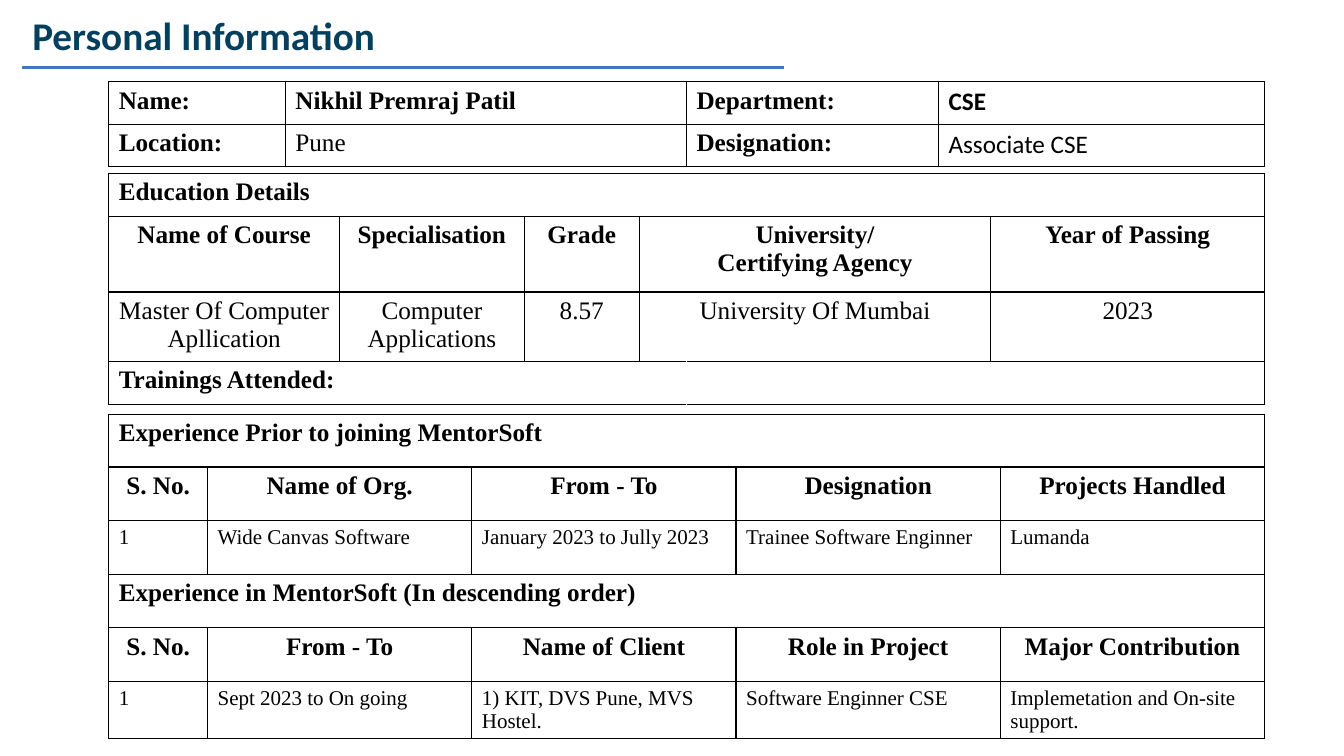
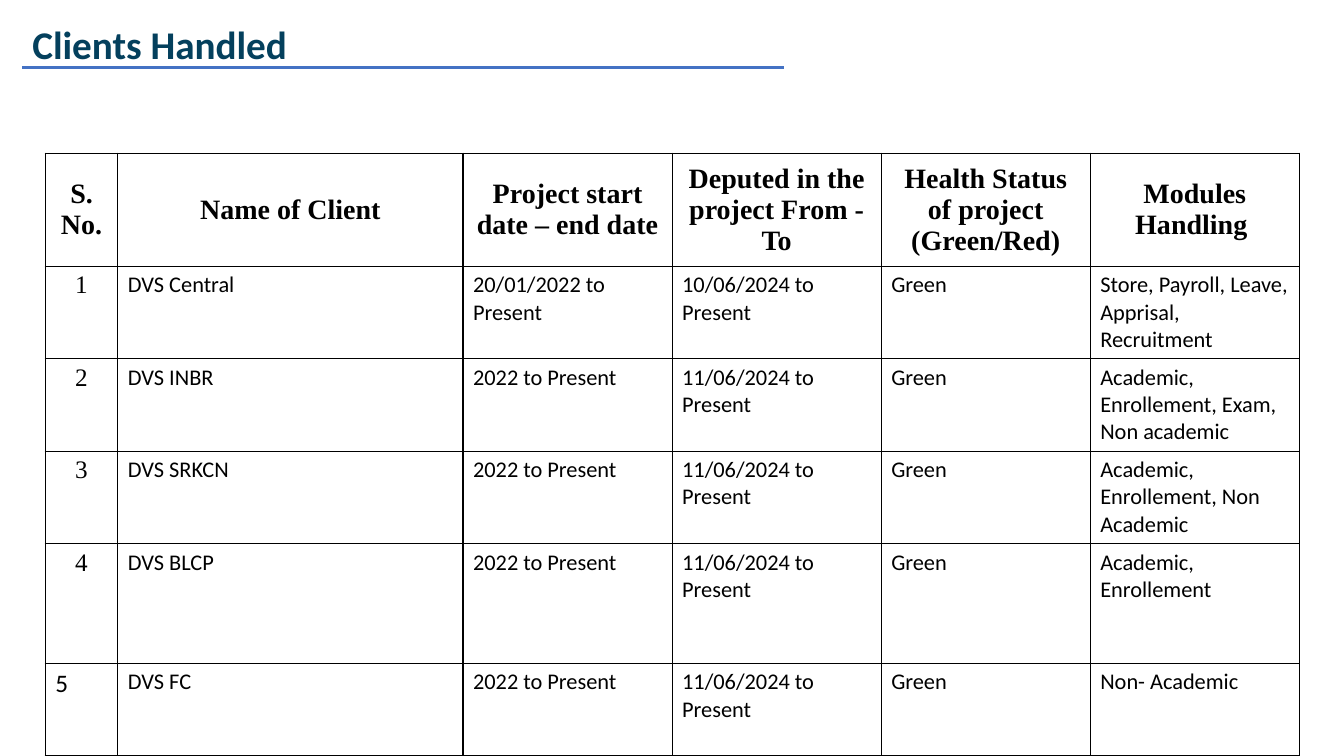
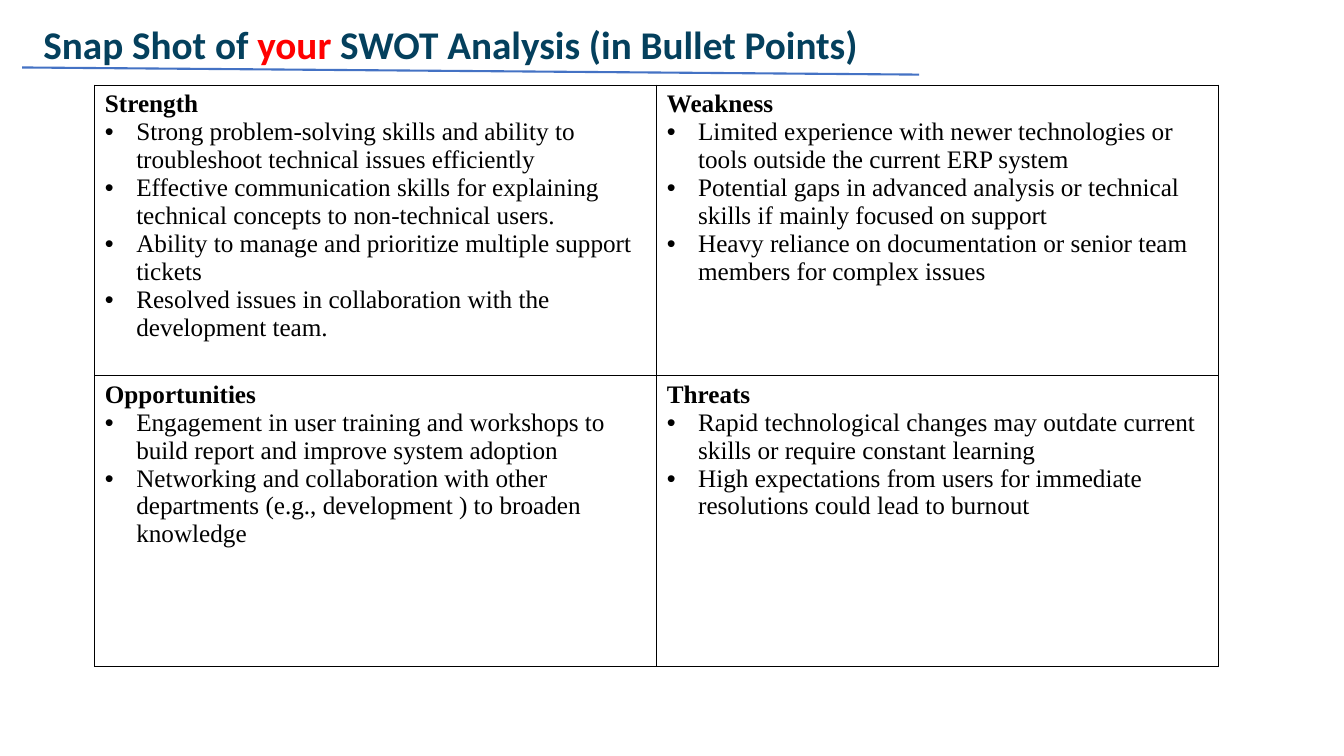
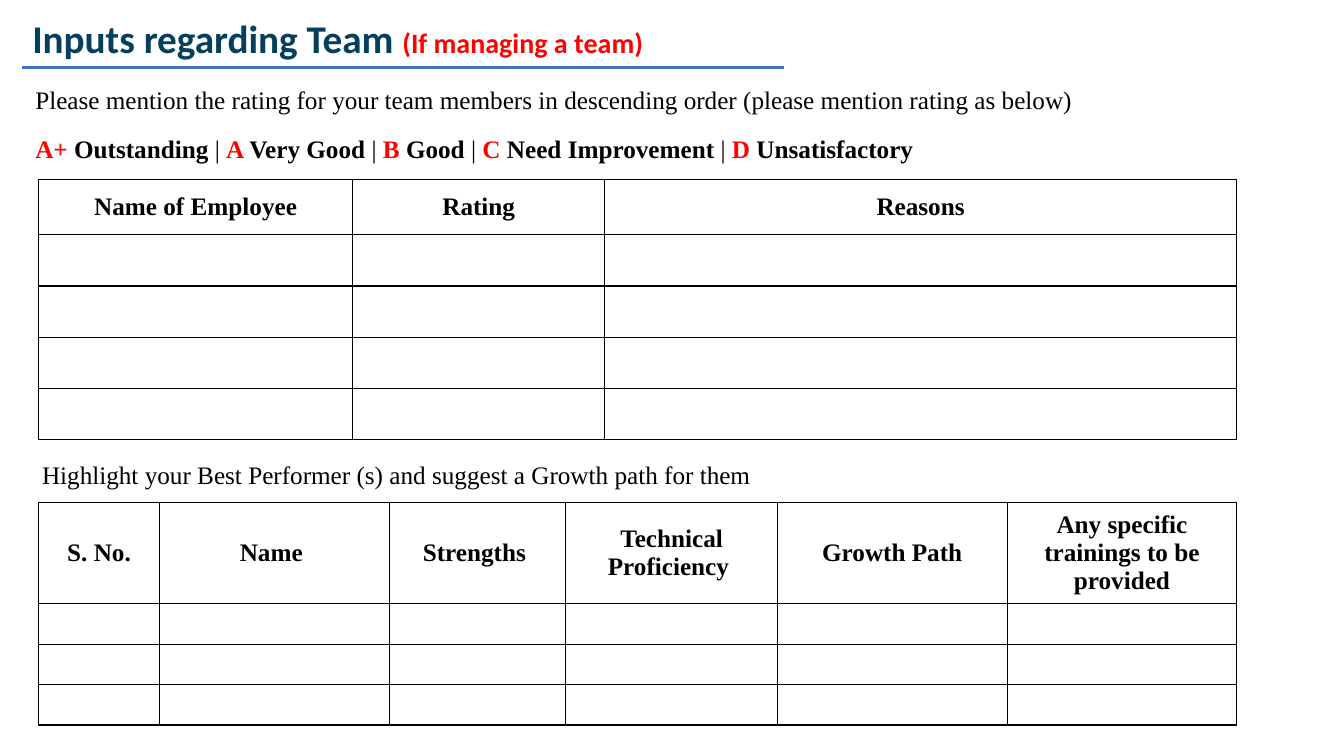
"""Build a four-slide employee review deck of tables."""
import collections

import lxml.etree
import pptx
import pptx.dml.color
import pptx.enum.shapes
import pptx.enum.text
import pptx.oxml
import pptx.oxml.ns
import pptx.util

Cm = pptx.util.Cm
Pt = pptx.util.Pt
RGBColor = pptx.dml.color.RGBColor
Align = pptx.enum.text.PP_ALIGN
Anchor = pptx.enum.text.MSO_ANCHOR
qn = pptx.oxml.ns.qn

NAVY = RGBColor(0x04, 0x40, 0x5D)
BLUE = RGBColor(0x44, 0x72, 0xC4)
RED = RGBColor(0xFF, 0x00, 0x00)
BLACK = RGBColor(0x00, 0x00, 0x00)
WHITE = RGBColor(0xFF, 0xFF, 0xFF)

SANS = "Calibri"
SERIF = "Times New Roman"

Look = collections.namedtuple("Look", "size bold font align anchor color")
Span = collections.namedtuple("Span", "text look")

BODY = Look(18, False, SERIF, Align.LEFT, Anchor.TOP, BLACK)
LABEL = BODY._replace(bold=True)
CENTERED = BODY._replace(align=Align.CENTER)
HEADER = LABEL._replace(align=Align.CENTER)
MIDDLE_HEADER = HEADER._replace(anchor=Anchor.MIDDLE)
CLIENT_HEADER = MIDDLE_HEADER._replace(size=20)
ENTRY = BODY._replace(size=15)
SANS_BODY = BODY._replace(font=SANS)
CLIENT = SANS_BODY._replace(size=16)
TITLE = Look(28, True, SANS, Align.LEFT, Anchor.MIDDLE, NAVY)
TITLE_RED = TITLE._replace(color=RED)
GRADE = LABEL._replace(color=RED)


class ReviewDeck:
    """Hold the shared style and the current page."""

    def __init__(self):
        """Start an empty widescreen deck."""
        self.deck = pptx.Presentation()
        self.deck.slide_width = Cm(33.87)
        self.deck.slide_height = Cm(19.05)
        self.page = None

    def add_spans(self, para, spans):
        """Fill a paragraph run by run."""
        para.alignment = spans[0].look.align
        for text, look in spans:
            span = para.add_run()
            span.text = text
            span.font.size = Pt(look.size)
            span.font.bold = look.bold
            span.font.name = look.font
            span.font.color.rgb = look.color

    def add_lines(self, frame, lines):
        """Add one paragraph for each list of spans."""
        for index, spans in enumerate(lines):
            para = frame.add_paragraph() if index else frame.paragraphs[0]
            self.add_spans(para, spans)

    def add_page(self, spans, left=0.56, top=0.13, rule_end=(19.76, 1.7)):
        """Add a page with its title and the blue rule below."""
        self.page = self.deck.slides.add_slide(self.deck.slide_layouts[5])
        box = self.page.shapes.title
        box.left, box.top, box.width, box.height = Cm(left), Cm(top), Cm(22.68), Cm(1.5)
        frame = box.text_frame
        frame.word_wrap = True
        frame.auto_size = pptx.enum.text.MSO_AUTO_SIZE.NONE
        frame.vertical_anchor = TITLE.anchor
        self.add_spans(frame.paragraphs[0], spans)
        self.add_rule((0.56, 1.7), rule_end)

    def add_rule(self, start, end):
        """Draw a straight blue line."""
        rule = self.page.shapes.add_connector(
            pptx.enum.shapes.MSO_CONNECTOR.STRAIGHT,
            Cm(start[0]), Cm(start[1]), Cm(end[0]), Cm(end[1]))
        rule.line.color.rgb = BLUE
        rule.line.width = Pt(1.5)
        lxml.etree.SubElement(rule._element.spPr, qn("a:effectLst"))

    def add_text(self, left, top, width, height, lines, spacing=1, after=0):
        """Add a wrapped text box."""
        box = self.page.shapes.add_textbox(Cm(left), Cm(top), Cm(width), Cm(height))
        box.text_frame.word_wrap = True
        self.add_lines(box.text_frame, lines)
        for para in box.text_frame.paragraphs:
            para.line_spacing = spacing
            para.space_after = Pt(after)

    def add_table(self, left, top, columns, rows, divider=BLACK):
        """Add a table from rows of height, look and cell contents."""
        heights = [row[0] for row in rows]
        table = self.page.shapes.add_table(
            len(rows), len(columns), Cm(left), Cm(top),
            Cm(sum(columns)), Cm(sum(heights))).table
        table.first_row = table.horz_banding = False
        for column, width in zip(table.columns, columns):
            column.width = Cm(width)
        for row, height in zip(table.rows, heights):
            row.height = Cm(height)
        last = len(columns) - 1
        for y, (height, look, contents) in enumerate(rows):
            for x in range(len(columns)):
                self.outline(table.cell(y, x),
                             left=divider if x else BLACK,
                             right=divider if x < last else BLACK)
            if isinstance(contents, str):
                table.cell(y, 0).merge(table.cell(y, last))
                contents = [contents]
            for x, content in enumerate(contents):
                self.fill_cell(table.cell(y, x), content, look)
        return table

    def fill_cell(self, cell, content, look):
        """Put text in a cell, whose own look overrides that of its row."""
        if isinstance(content, Span):
            content, look = content
        if content:
            cell.vertical_anchor = look.anchor
            self.add_lines(cell.text_frame,
                           [[Span(line, look)] for line in content.split("\n")])

    def outline(self, cell, left, right):
        """Clear the fill of a cell and draw its four borders."""
        cell.fill.background()
        properties = cell._tc.get_or_add_tcPr()
        sides = {"L": left, "R": right, "T": BLACK, "B": BLACK}
        for place, (side, color) in enumerate(sides.items()):
            border = lxml.etree.Element(qn("a:ln" + side), w=str(Pt(1)))
            fill = lxml.etree.SubElement(border, qn("a:solidFill"))
            lxml.etree.SubElement(fill, qn("a:srgbClr"), val=str(color))
            properties.insert(place, border)

    def add_bullets(self, cell, heading, points):
        """Put a bold heading and bullet points into a cell."""
        self.add_lines(cell.text_frame, [[Span(heading, LABEL)]]
                       + [[Span(point, BODY)] for point in points])
        for para in cell.text_frame.paragraphs[1:]:
            properties = para._p.get_or_add_pPr()
            properties.set("marL", str(Cm(0.79)))
            properties.set("indent", str(-Cm(0.79)))
            lxml.etree.SubElement(properties, qn("a:buFont"), typeface="Arial")
            lxml.etree.SubElement(properties, qn("a:buChar"), char="•")


def personal_page(review):
    """Build the personal information page."""
    review.add_page([Span("Personal Information", TITLE)])
    left = 2.74
    review.add_table(left, 10.44, [2.49] + [6.66] * 4, [
        (1.33, LABEL, "Experience Prior to joining MentorSoft"),
        (1.35, HEADER, ["S. No.", "Name of Org.", "From - To", "Designation",
                        "Projects Handled"]),
        (1.35, ENTRY, ["1", "Wide Canvas Software", "January 2023 to Jully 2023",
                       "Trainee Software Enginner", "Lumanda"]),
        (1.35, LABEL, "Experience in MentorSoft (In descending order)"),
        (1.35, HEADER, ["S. No.", "From - To", "Name of Client", "Role in Project",
                        "Major Contribution"]),
        (1.43, ENTRY, ["1", "Sept 2023 to On going", "1) KIT, DVS Pune, MVS Hostel.",
                       "Software Enginner CSE", "Implemetation and On-site support."]),
    ])
    review.add_table(left, 4.37, [5.82, 4.65, 2.9, 8.86, 6.9], [
        (1.08, LABEL, "Education Details"),
        (1.91, HEADER, ["Name of Course", "Specialisation", "Grade",
                        "University/\nCertifying Agency", "Year of Passing"]),
        (1.74, CENTERED, ["Master Of Computer Apllication", "Computer Applications",
                          "8.57", "University Of Mumbai", "2023"]),
    ])
    review.add_table(left, 2.06, [4.45, 10.11, 6.35, 8.22], [
        (1.07, LABEL, ["Name:", "Nikhil Premraj Patil", "Department:",
                       Span("CSE", LABEL._replace(font=SANS))]),
        (1.07, LABEL, ["Location:", Span("Pune", BODY), "Designation:",
                       Span("Associate CSE", SANS_BODY)]),
    ])
    review.add_table(left, 9.1, [14.56, 14.57],
                     [(1.09, LABEL, ["Trainings Attended:", ""])], divider=WHITE)


def clients_page(review):
    """Build the page of clients handled."""
    review.add_page([Span("Clients Handled", TITLE)], top=0.36)
    clients = [
        (2.33, "DVS Central", "20/01/2022 to Present", "10/06/2024 to Present",
         "Store, Payroll, Leave, Apprisal, Recruitment"),
        (2.33, "DVS INBR", "2022 to Present", "11/06/2024 to Present",
         "Academic, Enrollement, Exam, Non academic"),
        (2.33, "DVS SRKCN", "2022 to Present", "11/06/2024 to Present",
         "Academic, Enrollement, Non Academic"),
        (3.02, "DVS BLCP", "2022 to Present", "11/06/2024 to Present",
         "Academic, Enrollement"),
        (2.33, "DVS FC", "2022 to Present", "11/06/2024 to Present", "Non- Academic"),
    ]
    rows = [(2.85, CLIENT_HEADER, [
        "S. No.", "Name of Client", "Project start date – end date",
        "Deputed in the project From - To", "Health Status of project (Green/Red)",
        "Modules Handling "])]
    for number, (height, name, dates, deputed, modules) in enumerate(clients, 1):
        look = CENTERED if number < len(clients) else SANS_BODY
        rows.append((height, CLIENT, [Span(str(number), look), name, dates, deputed,
                                      "Green", modules]))
    review.add_table(1.14, 3.86, [1.83, 8.7] + [5.27] * 4, rows)


def swot_page(review):
    """Build the SWOT page."""
    review.add_page([Span("Snap Shot of ", TITLE), Span("your", TITLE_RED),
                     Span(" SWOT Analysis (in Bullet Points)", TITLE)],
                    left=0.84, top=0.36, rule_end=(23.16, 1.88))
    quadrants = [
        ("Strength", [
            "Strong problem-solving skills and ability to troubleshoot technical issues efficiently",
            "Effective communication skills for explaining technical concepts to non-technical users.",
            "Ability to manage and prioritize multiple support tickets",
            "Resolved issues in collaboration with the development team."]),
        ("Weakness", [
            "Limited experience with newer technologies or tools outside the current ERP system",
            "Potential gaps in advanced analysis or technical skills if mainly focused on support",
            "Heavy reliance on documentation or senior team members for complex issues"]),
        ("Opportunities", [
            "Engagement in user training and workshops to build report and improve system adoption",
            "Networking and collaboration with other departments (e.g., development ) to broaden knowledge"]),
        ("Threats", [
            "Rapid technological changes may outdate current skills or require constant learning",
            "High expectations from users for immediate resolutions could lead to burnout"]),
    ]
    table = review.add_table(2.39, 2.15, [14.16] * 2, [(7.32, BODY, [])] * 2)
    for index, (heading, points) in enumerate(quadrants):
        review.add_bullets(table.cell(*divmod(index, 2)), heading, points)


def team_page(review):
    """Build the page of team ratings."""
    review.add_page([Span("Inputs regarding Team ", TITLE),
                     Span("(If managing a team)", TITLE_RED._replace(size=20))], top=0.2)
    grades = [("A+", "Outstanding"), ("A", "Very Good"), ("B", "Good"),
              ("C", "Need Improvement"), ("D", "Unsatisfactory")]
    scale = []
    for grade, meaning in grades:
        if scale:
            scale.append(Span(" | ", BODY))
        scale += [Span(grade + " ", GRADE), Span(meaning, LABEL)]
    review.add_text(0.64, 1.88, 28.8, 2.39, [
        [Span("Please mention the rating for your team members in descending order "
              "(please mention rating as below)", BODY)],
        scale], spacing=1.15, after=10)
    review.add_table(0.97, 4.52, [7.92, 6.35, 15.92], [
        (1.4, MIDDLE_HEADER, ["Name of Employee", "Rating", "Reasons"])]
        + [(1.29, BODY, [])] * 4)
    review.add_text(0.81, 11.46, 28.5, 1.02, [
        [Span("Highlight your Best Performer (s) and suggest a Growth path for them", BODY)]])
    review.add_table(0.97, 12.67, [3.05, 5.79, 4.45, 5.33, 5.79, 5.79], [
        (2.54, MIDDLE_HEADER, ["S. No.", "Name ", "Strengths ", "Technical Proficiency ",
                               "Growth Path", "Any specific trainings to be provided"])]
        + [(1.02, BODY, [])] * 3)


def main():
    """Build and save the deck."""
    review = ReviewDeck()
    for build in (personal_page, clients_page, swot_page, team_page):
        build(review)
    review.deck.save("out.pptx")


if __name__ == "__main__":
    main()
